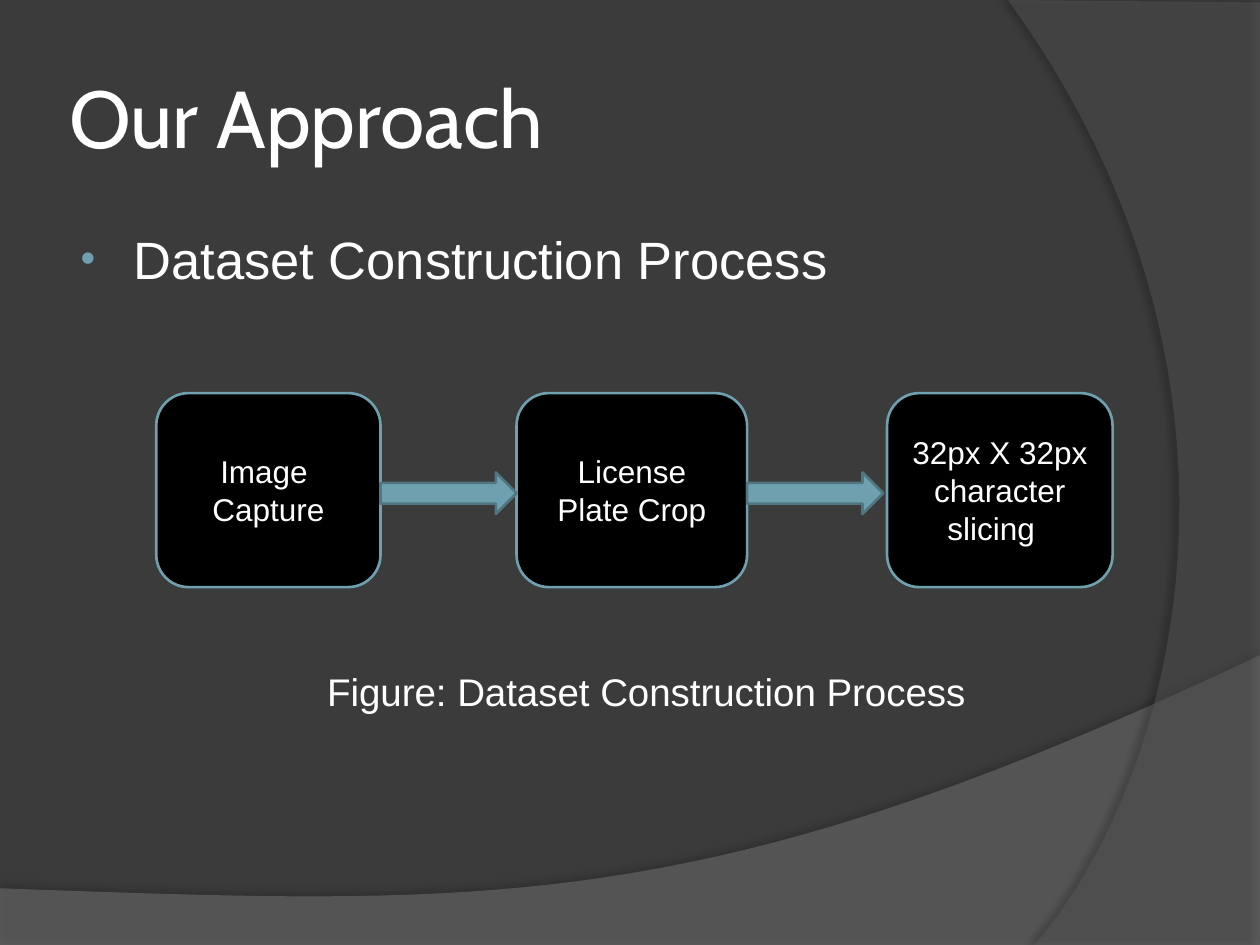
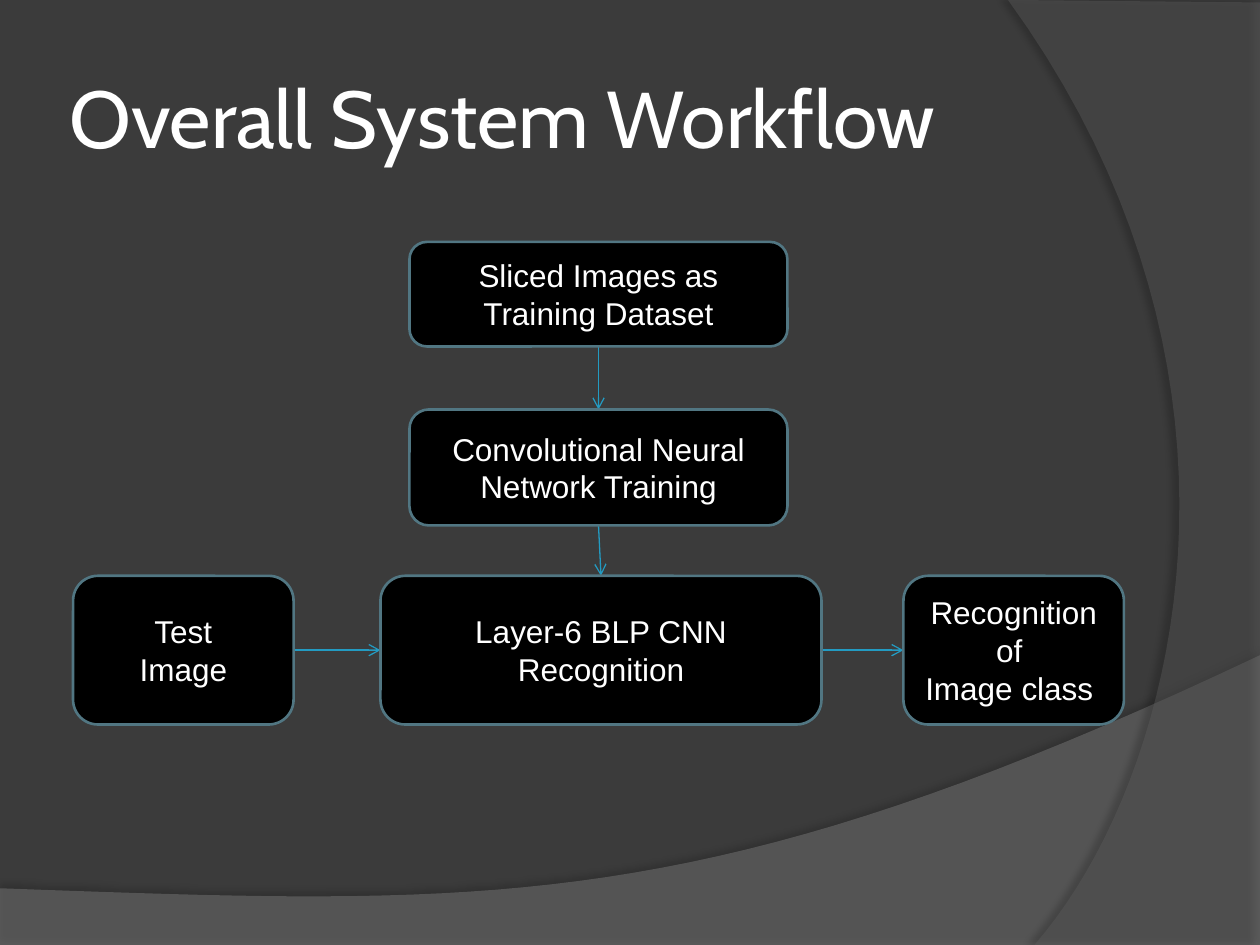
from lxml import etree
from pptx import Presentation
from pptx.dml.color import RGBColor
from pptx.enum.shapes import MSO_CONNECTOR, MSO_SHAPE
from pptx.enum.text import MSO_ANCHOR, MSO_AUTO_SIZE, PP_ALIGN
from pptx.oxml.ns import qn
from pptx.util import Inches, Pt

LEFT, CENTER = PP_ALIGN.LEFT, PP_ALIGN.CENTER
MIDDLE = MSO_ANCHOR.MIDDLE
NO_FIT, GROW = MSO_AUTO_SIZE.NONE, MSO_AUTO_SIZE.SHAPE_TO_FIT_TEXT
ROUNDED, BLOCK_ARROW = MSO_SHAPE.ROUNDED_RECTANGLE, MSO_SHAPE.RIGHT_ARROW
STRAIGHT = MSO_CONNECTOR.STRAIGHT
TITLE_AND_BODY, TITLE_ONLY = 1, 5

BACKGROUND, WHITE, BLACK = "3B3B3B", "FFFFFF", "000000"
ACCENT, ACCENT_DARK, FLOW_LINE = "6EA0B0", "517682", "239BC2"
HEADING_FONT, TEXT_FONT = "Cabin", "Arial"


def color(value):
    return RGBColor.from_string(value)


def set_all(target, values):
    for name, value in values.items():
        setattr(target, name, value)


def add_xml(parent, tag, **attributes):
    return etree.SubElement(parent, qn(tag), attributes)


def curve(start, control_1, control_2, end, steps=40):
    """Points of a cubic curve, both ends included."""
    points = []
    for step in range(steps + 1):
        t = step / steps
        weights = ((1 - t) ** 3, 3 * t * (1 - t) ** 2, 3 * t ** 2 * (1 - t), t ** 3)
        corners = (start, control_1, control_2, end)
        points.append(tuple(sum(w * c[axis] for w, c in zip(weights, corners))
                            for axis in (0, 1)))
    return points


class Deck:
    def __init__(self):
        self.prs = Presentation()
        set_all(self.prs, {"slide_width": Inches(10), "slide_height": Inches(7.5)})
        fill = self.prs.slide_master.background.fill
        fill.solid()
        fill.fore_color.rgb = color(BACKGROUND)
        self.slide = None

    def new_slide(self, layout, title):
        self.slide = self.prs.slides.add_slide(self.prs.slide_layouts[layout])
        heading = self.slide.shapes.title
        self.place(heading, 0.5, 0.3, 8.17, 1.25)
        margins = {f"margin_{side}": Inches(0.05)
                   for side in ("left", "right", "top", "bottom")}
        set_all(heading.text_frame, {"vertical_anchor": MIDDLE, "auto_size": NO_FIT,
                                     "word_wrap": True, **margins})
        self.set_text(heading, title, 46, LEFT, HEADING_FONT)

    def place(self, shape, left, top, width, height):
        set_all(shape, {"left": Inches(left), "top": Inches(top),
                        "width": Inches(width), "height": Inches(height)})

    def set_text(self, shape, text, size, align, font=TEXT_FONT):
        shape.text_frame.text = text
        for paragraph in shape.text_frame.paragraphs:
            paragraph.alignment = align
            for run in paragraph.runs:
                set_all(run.font, {"name": font, "size": Pt(size)})
                run.font.color.rgb = color(WHITE)

    def paint(self, shape, fill, line, width=1.5):
        shape.shadow.inherit = False
        shape.fill.solid()
        shape.fill.fore_color.rgb = color(fill)
        shape.line.color.rgb = color(line)
        shape.line.width = Pt(width)

    def master_band(self, number, outline, fill, opacity, shade, distance, angle):
        """Draw a translucent band and move it behind everything on the master."""
        builder = self.slide.shapes.build_freeform(
            *(Inches(value) for value in outline[0]), scale=1.0)
        builder.add_line_segments([(Inches(x), Inches(y)) for x, y in outline[1:]])
        band = builder.convert_to_shape()
        self.paint(band, fill, fill)
        band.line.fill.background()
        properties = band.element.spPr
        tint = properties.find(qn("a:solidFill")).find(qn("a:srgbClr"))
        add_xml(tint, "a:alpha", val=str(opacity * 1000))
        shadow = add_xml(properties.find(qn("a:effectLst")), "a:outerShdw",
                         blurRad=str(Pt(4)), dist=str(Pt(distance)),
                         dir=str(angle * 60000), algn="ctr", rotWithShape="0")
        shadow_color = add_xml(shadow, "a:srgbClr", val=BLACK)
        add_xml(shadow_color, "a:alpha", val=str(shade * 1000))
        band.element.nvSpPr.cNvPr.set("id", str(100 + number))
        self.prs.slide_master.shapes.element.insert(2 + number, band.element)

    def bullets(self, text):
        body = self.slide.placeholders[1]
        self.place(body, 0.5, 1.75, 8.17, 4.95)
        self.set_text(body, text, 30, LEFT)
        for paragraph in body.text_frame.paragraphs:
            properties = paragraph._p.get_or_add_pPr()
            properties.set("marL", str(Inches(0.46)))
            properties.set("indent", str(Inches(-0.42)))
            add_xml(add_xml(properties, "a:buClr"), "a:srgbClr", val=ACCENT)
            add_xml(properties, "a:buSzPct", val="80000")
            add_xml(properties, "a:buFont", typeface=TEXT_FONT)
            add_xml(properties, "a:buChar", char="•")

    def box(self, text, left, top, width, height, line):
        box = self.slide.shapes.add_shape(
            ROUNDED, *(Inches(v) for v in (left, top, width, height)))
        self.paint(box, BLACK, line)
        set_all(box.text_frame, {"vertical_anchor": MIDDLE, "word_wrap": True})
        self.set_text(box, text, 18, CENTER)

    def block_arrow(self, left, top, width, height):
        arrow = self.slide.shapes.add_shape(
            BLOCK_ARROW, *(Inches(v) for v in (left, top, width, height)))
        self.paint(arrow, ACCENT, ACCENT_DARK)

    def flow_line(self, *ends):
        link = self.slide.shapes.add_connector(STRAIGHT, *(Inches(v) for v in ends))
        link.line.color.rgb = color(FLOW_LINE)
        link.line.width = Pt(0.75)
        add_xml(link.element.spPr.find(qn("a:ln")), "a:tailEnd", type="arrow")
        add_xml(link.element.spPr, "a:effectLst")

    def caption(self, text, left, top, width, height):
        caption = self.slide.shapes.add_textbox(
            *(Inches(v) for v in (left, top, width, height)))
        set_all(caption.text_frame, {"word_wrap": True, "auto_size": GROW})
        self.set_text(caption, text, 22, CENTER)


deck = Deck()

# Slide 1: how the dataset is made
deck.new_slide(TITLE_AND_BODY, "Our Approach")

# Bands shared by all slides
bottom_band = [(0, 7.05), (0, 7.51), (10, 7.51)] + curve(
    (10, 5.2), (5.59, 7.29), (3.91, 7.19), (0, 7.05))
right_band = [(10, 0.02), (10, 7.5)] + curve(
    (8.21, 7.5), (9.35, 6.19), (10.18, 3), (8, 0)) + [(10, 0.02)]
deck.master_band(0, bottom_band, "7F7F7F", 45, 35, 3.5, 270)
deck.master_band(1, right_band, "5E5E5E", 40, 45, 4, 180)

deck.bullets("Dataset Construction Process")
dataset_steps = [("Image \nCapture", 1.24, 1.78),
                 ("License Plate Crop", 4.1, 1.83),
                 ("32px X 32px character slicing  ", 7.04, 1.79)]
for step, left, width in dataset_steps:
    deck.box(step, left, 3.12, width, 1.54, ACCENT)
for _, left, width in dataset_steps[:-1]:
    deck.block_arrow(left + width, 3.75, 1.08, 0.33)
deck.caption("Figure: Dataset Construction Process", 1.42, 5.25, 7.42, 0.47)

# Slide 2: training from top to bottom, recognition from left to right
deck.new_slide(TITLE_ONLY, "Overall System Workflow")
training = [("Sliced Images as Training Dataset", 3.25, 1.92, 3, 0.83),
            ("Convolutional Neural Network Training", 3.25, 3.25, 3, 0.92)]
recognition = [("Test\nImage", 0.58, 4.57, 1.75, 1.18),
               ("Layer-6 BLP CNN Recognition", 3.02, 4.57, 3.5, 1.18),
               ("Recognition of \nImage class ", 7.17, 4.57, 1.75, 1.18)]

down_path = training + [recognition[1]]
for (_, x, y, w, h), (_, next_x, next_y, next_w, _) in zip(down_path, down_path[1:]):
    deck.flow_line(x + w / 2, y + h, next_x + next_w / 2, next_y)
for (_, x, y, w, h), (_, next_x, *_) in zip(recognition, recognition[1:]):
    deck.flow_line(x + w, y + h / 2, next_x, y + h / 2)
for stage in training + recognition:
    deck.box(*stage, ACCENT_DARK)

deck.prs.save("out.pptx")
